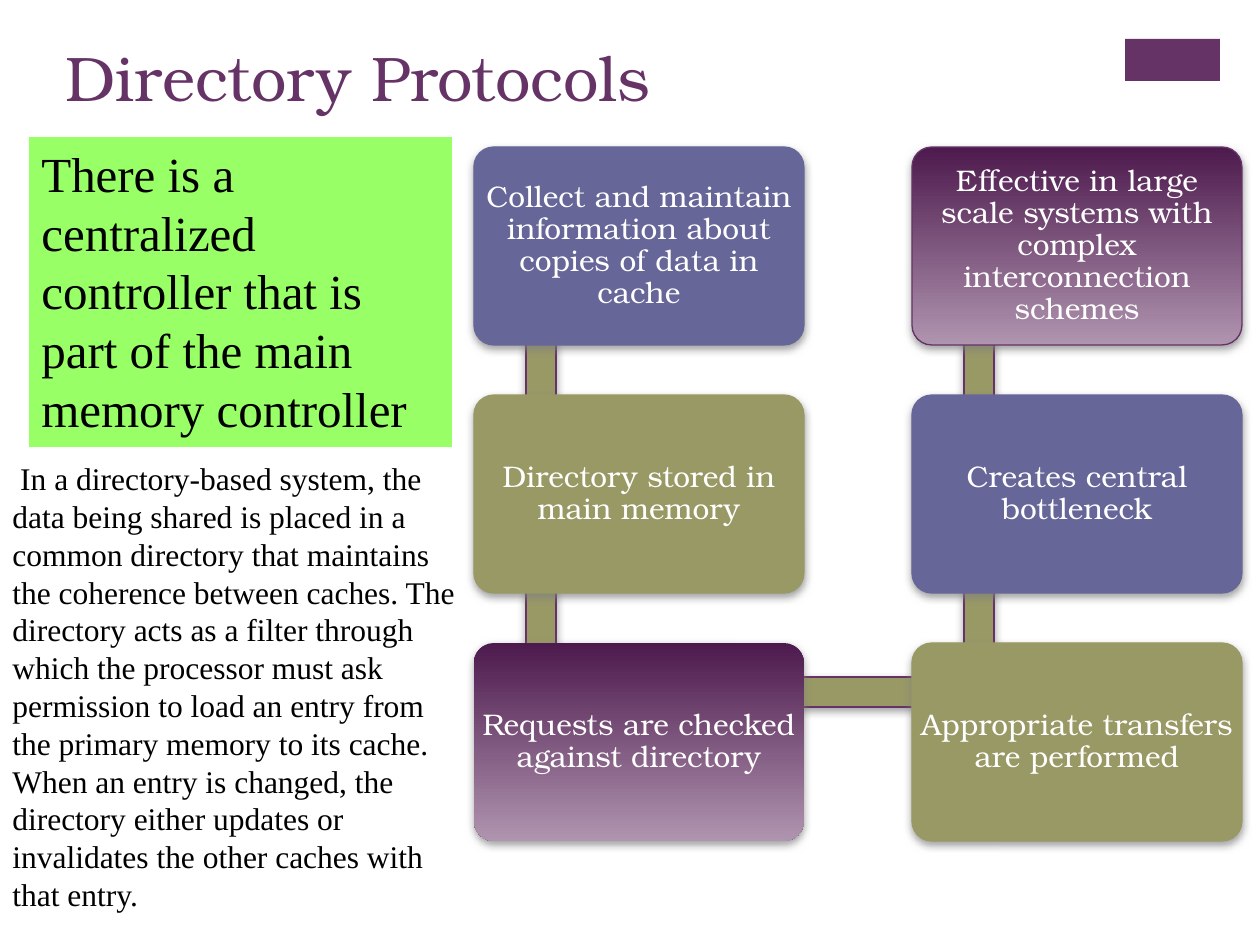
"""Build the Directory Protocols slide with its six-step snake of cards."""
from typing import Any, NamedTuple, Optional

from lxml import etree
from pptx import Presentation
from pptx.dml.color import RGBColor
from pptx.enum.shapes import MSO_SHAPE
from pptx.enum.text import MSO_ANCHOR, MSO_AUTO_SIZE, PP_ALIGN
from pptx.oxml.ns import qn
from pptx.util import Emu, Pt

RECT, ROUNDED = MSO_SHAPE.RECTANGLE, MSO_SHAPE.ROUNDED_RECTANGLE
TOP, MIDDLE = MSO_ANCHOR.TOP, MSO_ANCHOR.MIDDLE
LEFT, CENTER = PP_ALIGN.LEFT, PP_ALIGN.CENTER
NO_AUTOFIT = MSO_AUTO_SIZE.NONE

PLUM = RGBColor(0x66, 0x33, 0x66)
DARK_PLUM = RGBColor(0x4D, 0x1A, 0x4D)
PALE_PLUM = RGBColor(0xAF, 0x94, 0xAF)
OLIVE = RGBColor(0x99, 0x99, 0x66)
SLATE = RGBColor(0x66, 0x66, 0x99)
LIME = RGBColor(0x99, 0xFF, 0x66)
BLACK = RGBColor(0, 0, 0)
WHITE = RGBColor(0xFF, 0xFF, 0xFF)

SERIF, BOOK = "Times New Roman", "TeX Gyre Bonum"
PIXELS_PER_INCH = 126
CARD_LEFT, CARD_TOP, CARD_WIDTH, CARD_HEIGHT = 474, 147, 330, 198
COLUMN_STEP, ROW_STEP = 438, 248
BAR_THICKNESS = 30

CONTROLLER = "There is a centralized controller that is part of the main memory controller"
EXPLANATION = (
    " In a directory-based system, the data being shared is placed in a common "
    "directory that maintains the coherence between caches. The directory acts as a "
    "filter through which the processor must ask permission to load an entry from the "
    "primary memory to its cache. When an entry is changed, the directory either "
    "updates or invalidates the other caches with that entry."
)


class Bar(NamedTuple):
    """Bar to the next card, offset in px from its own card."""
    across: int
    down: int
    length: int
    rotation: int


class Step(NamedTuple):
    """One card of the snake; a fill of None means the plum gradient."""
    text: str
    column: int
    row: int
    fill: Optional[RGBColor]
    outline: Optional[RGBColor]
    bar: Optional[Bar]


DOWN = Bar(-56, 158, 246, 90)
ACROSS = Bar(68, 34, 437, 0)
UP = Bar(-56, -90, 246, 270)

STEPS = [
    Step("Collect and maintain information about copies of data in cache", 0, 0, SLATE, SLATE, DOWN),
    Step("Directory stored in main memory", 0, 1, OLIVE, OLIVE, DOWN),
    Step("Requests are checked against directory", 0, 2, None, None, ACROSS),
    Step("Appropriate transfers are performed", 1, 2, OLIVE, OLIVE, UP),
    Step("Creates central bottleneck", 1, 1, SLATE, SLATE, UP),
    Step("Effective in large scale systems with complex interconnection schemes", 1, 0, None, PLUM, None),
]


def px(length: int) -> Emu:
    """Turn px into EMU."""
    return Emu(round(length * 914400 / PIXELS_PER_INCH))


def assign(target: Any, values: dict) -> None:
    """Set every named attribute on the target."""
    for name, value in values.items():
        setattr(target, name, value)


def write(box: Any, text: str, font: str, size: int, color: RGBColor,
          align: PP_ALIGN = LEFT, spacing: float = 1.0, frame: Optional[dict] = None) -> None:
    """Fill a shape with one formatted paragraph."""
    assign(box.text_frame, {"word_wrap": True, "auto_size": NO_AUTOFIT,
                            "vertical_anchor": TOP, **(frame or {})})
    para = box.text_frame.paragraphs[0]
    assign(para, {"alignment": align, "line_spacing": spacing})
    span = para.add_run()
    span.text = text
    assign(span.font, {"name": font, "size": Pt(size)})
    span.font.color.rgb = color


def add_block(page: Any, kind: MSO_SHAPE, left: int, top: int, width: int, height: int,
              fill: Optional[RGBColor], outline: Optional[RGBColor] = None) -> Any:
    """Add a shape with a flat fill, or the plum gradient when fill is None."""
    box = page.shapes.add_shape(kind, px(left), px(top), px(width), px(height))
    box.shadow.inherit = False
    if fill is None:
        box.fill.gradient()
        box.fill.gradient_angle = 270
        for stop, color, position in zip(box.fill.gradient_stops, (DARK_PLUM, PALE_PLUM), (0, 1)):
            stop.color.rgb = color
            stop.position = position
    else:
        box.fill.solid()
        box.fill.fore_color.rgb = fill
    if outline is None:
        box.line.fill.background()
    else:
        box.line.color.rgb = outline
        box.line.width = Pt(0.75)
    return box


def add_shadow(box: Any) -> None:
    """Give a shape a soft grey shadow below it."""
    effects = box._element.spPr.find(qn("a:effectLst"))
    shadow = etree.SubElement(effects, qn("a:outerShdw"), blurRad=str(Pt(5)),
                              dist=str(Pt(2)), dir="5400000", rotWithShape="0")
    color = etree.SubElement(shadow, qn("a:srgbClr"), val="808080")
    etree.SubElement(color, qn("a:alpha"), val="75000")


def add_step(page: Any, step: Step) -> None:
    """Draw the bar leading onward, then the card over it."""
    left = CARD_LEFT + step.column * COLUMN_STEP
    top = CARD_TOP + step.row * ROW_STEP
    if step.bar:
        bar = add_block(page, RECT, left + step.bar.across, top + step.bar.down,
                        step.bar.length, BAR_THICKNESS, OLIVE, PLUM)
        bar.rotation = step.bar.rotation
        add_shadow(bar)
    card = add_block(page, ROUNDED, left, top, CARD_WIDTH, CARD_HEIGHT, step.fill, step.outline)
    card.adjustments[0] = 0.1
    add_shadow(card)
    write(card, step.text, BOOK, 17, WHITE, CENTER, 0.9,
          {"vertical_anchor": MIDDLE, "margin_left": px(2), "margin_right": px(2),
           "margin_top": px(3), "margin_bottom": px(3)})


def main() -> None:
    """Build and save the deck."""
    deck = Presentation()
    assign(deck, {"slide_width": px(1260), "slide_height": px(945)})
    page = deck.slides.add_slide(deck.slide_layouts[5])

    title = page.shapes.title
    assign(title, {"left": px(53), "top": px(32), "width": px(1041), "height": px(154)})
    write(title, "Directory Protocols", BOOK, 36, PLUM)

    add_block(page, RECT, 1125, 39, 95, 42, PLUM)
    for step in STEPS:
        add_step(page, step)

    controller = add_block(page, RECT, 29, 137, 423, 310, LIME)
    write(controller, CONTROLLER, SERIF, 28, BLACK)
    explanation = page.shapes.add_textbox(px(0), px(453), px(472), px(471))
    write(explanation, EXPLANATION, SERIF, 18, BLACK)
    deck.save("out.pptx")


if __name__ == "__main__":
    main()
